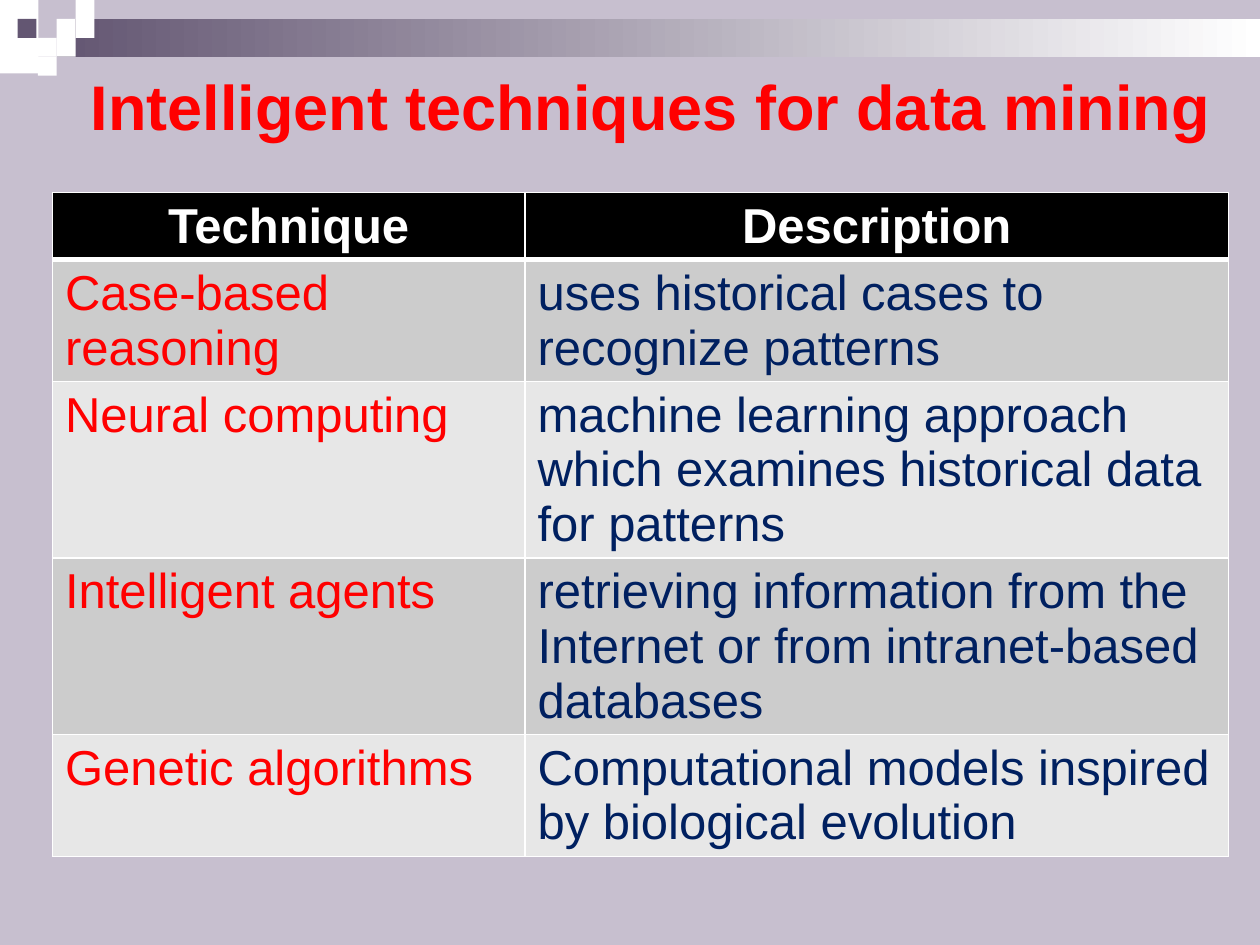
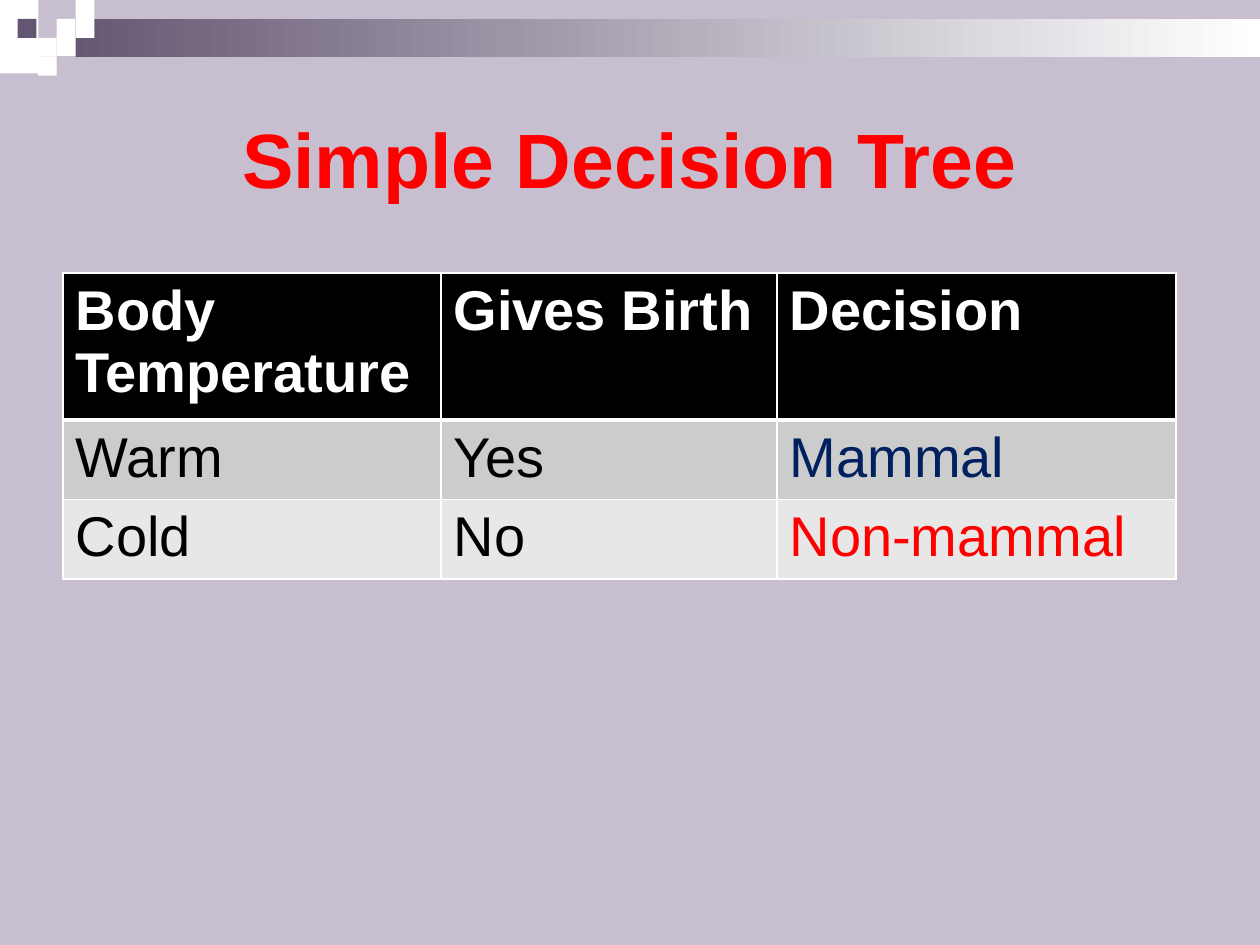
from pptx import Presentation
from pptx.dml import color
from pptx.enum import shapes, text
from pptx.oxml import parse_xml
from pptx.oxml import ns
from pptx.util import Pt

COLORS = {
    "background": "C7BFCF", "plum": "635672", "white": "FFFFFF", "black": "000000",
    "red": "FF0000", "navy": "002060", "odd_row": "CCCCCC", "even_row": "E7E7E7",
}
FONT = "Arial"
TILE = 10.8  # side of one square in the corner mosaic
MOSAIC = [(3, 1), (4, 0), (4, 1), (2, 2), (3, 2), (2, 3)]  # column, row of each square


def rgb(name):
    return color.RGBColor.from_string(COLORS[name])


def write(frame, content, size=28, ink="black", bold=False, align=text.PP_ALIGN.LEFT):
    paragraph = frame.paragraphs[0]
    paragraph.alignment = align
    run = paragraph.add_run()
    run.text = content
    run.font.name, run.font.size, run.font.bold = FONT, Pt(size), bold
    run.font.color.rgb = rgb(ink)


class Deck:
    def __init__(self):
        self.prs = Presentation()
        self.prs.slide_width, self.prs.slide_height = Pt(720), Pt(540)
        background = self.prs.slide_master.background.fill
        background.solid()
        background.fore_color.rgb = rgb("background")
        self.slide = None

    def new_slide(self):
        self.slide = self.prs.slides.add_slide(self.prs.slide_layouts[5])

    def rectangle(self, left, top, width, height, fill, fade_to=None):
        box = self.slide.shapes.add_shape(
            shapes.MSO_SHAPE.RECTANGLE, Pt(left), Pt(top), Pt(width), Pt(height))
        box.shadow.inherit = False
        box.line.fill.background()
        if fade_to:
            box.fill.gradient()
            box.fill.gradient_angle = 0
            for stop, name, position in zip(box.fill.gradient_stops, (fill, fade_to), (0, 1)):
                stop.color.rgb = rgb(name)
                stop.position = position
        else:
            box.fill.solid()
            box.fill.fore_color.rgb = rgb(fill)
        return box

    def master_band(self):
        """Draw the band and mosaic, then move them to the master for every slide."""
        parts = [self.rectangle(0, 0, 22, 42, "white"),
                 self.rectangle(32.4, TILE, 687.6, 2 * TILE, "plum", fade_to="white")]
        parts += [self.rectangle(column * TILE, row * TILE, TILE, TILE, "white")
                  for column, row in MOSAIC]
        parts.append(self.rectangle(10, TILE, TILE, TILE, "plum"))
        tree = self.prs.slide_master.shapes._spTree
        for index, part in enumerate(parts):
            part._element.nvSpPr.cNvPr.set("id", str(100 + index))
            tree.insert(2 + index, part._element)

    def title(self, content, left, top, width, size):
        heading = self.slide.shapes.title
        heading.left, heading.top = Pt(left), Pt(top)
        heading.width, heading.height = Pt(width), Pt(108)
        frame = heading.text_frame
        frame.word_wrap = True
        frame.auto_size = text.MSO_AUTO_SIZE.NONE
        frame.vertical_anchor = text.MSO_ANCHOR.MIDDLE
        write(frame, content, size=size, ink="red", bold=True, align=text.PP_ALIGN.CENTER)

    def borders(self, cell, top=1, bottom=1):
        properties = cell._tc.get_or_add_tcPr()
        for side, weight in (("L", 1), ("R", 1), ("T", top), ("B", bottom)):
            properties.append(parse_xml(
                f'<a:ln{side} {ns.nsdecls("a")} w="{Pt(weight)}"><a:solidFill>'
                f'<a:srgbClr val="{COLORS["white"]}"/></a:solidFill></a:ln{side}>'))

    def table(self, rows, left, top, widths, heights, size, inks, header_align):
        """Fill a banded table; inks gives the text colours of each body row."""
        grid = self.slide.shapes.add_table(
            len(rows), len(widths), Pt(left), Pt(top), Pt(sum(widths)), Pt(sum(heights))).table
        for column, width in zip(grid.columns, widths):
            column.width = Pt(width)
        for r, (row, height) in enumerate(zip(rows, heights)):
            grid.rows[r].height = Pt(height)
            for c, content in enumerate(row):
                cell = grid.cell(r, c)
                self.borders(cell, top=3 if r == 1 else 1, bottom=3 if r == 0 else 1)
                cell.fill.solid()
                if r == 0:
                    cell.fill.fore_color.rgb = rgb("black")
                    write(cell.text_frame, content, size=size, ink="white", bold=True,
                          align=header_align)
                else:
                    cell.fill.fore_color.rgb = rgb("odd_row" if r % 2 else "even_row")
                    write(cell.text_frame, content, size=size, ink=inks[r - 1][c])


def main():
    deck = Deck()

    # Techniques and their descriptions
    deck.new_slide()
    deck.master_band()
    deck.title("Intelligent techniques for data mining", 36, 6, 672, size=36)
    techniques = [
        ("Technique", "Description"),
        ("Case-based reasoning", "uses historical cases to recognize patterns"),
        ("Neural computing",
         "machine learning approach which examines historical data for patterns"),
        ("Intelligent agents",
         "retrieving information from the Internet or from intranet-based databases"),
        ("Genetic algorithms", "Computational models inspired by biological evolution"),
    ]
    deck.table(techniques, 30, 110, widths=(270, 402), heights=(38, 69.5, 100.5, 100.5, 69.5),
               size=28, inks=[("red", "navy")] * 4, header_align=text.PP_ALIGN.CENTER)

    # Decision tree as a table
    deck.new_slide()
    deck.title("Simple Decision Tree", 36, 36, 648, size=44)
    decisions = [
        ("Body Temperature", "Gives Birth", "Decision"),
        ("Warm", "Yes", "Mammal"),
        ("Cold", "No", "Non-mammal"),
    ]
    deck.table(decisions, 36, 156, widths=(216, 192, 228), heights=(84, 45.5, 45.5), size=32,
               inks=[("black", "black", "navy"), ("black", "black", "red")],
               header_align=text.PP_ALIGN.LEFT)

    deck.prs.save("out.pptx")


if __name__ == "__main__":
    main()
